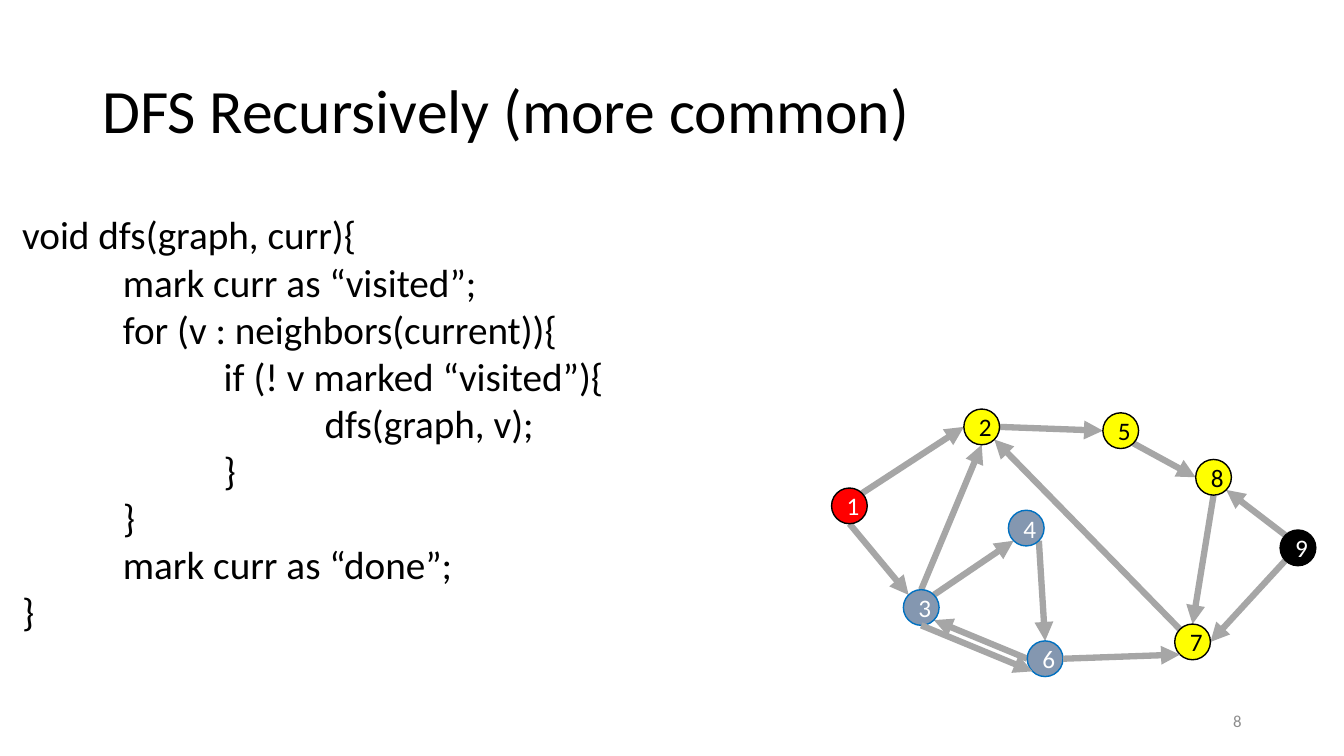
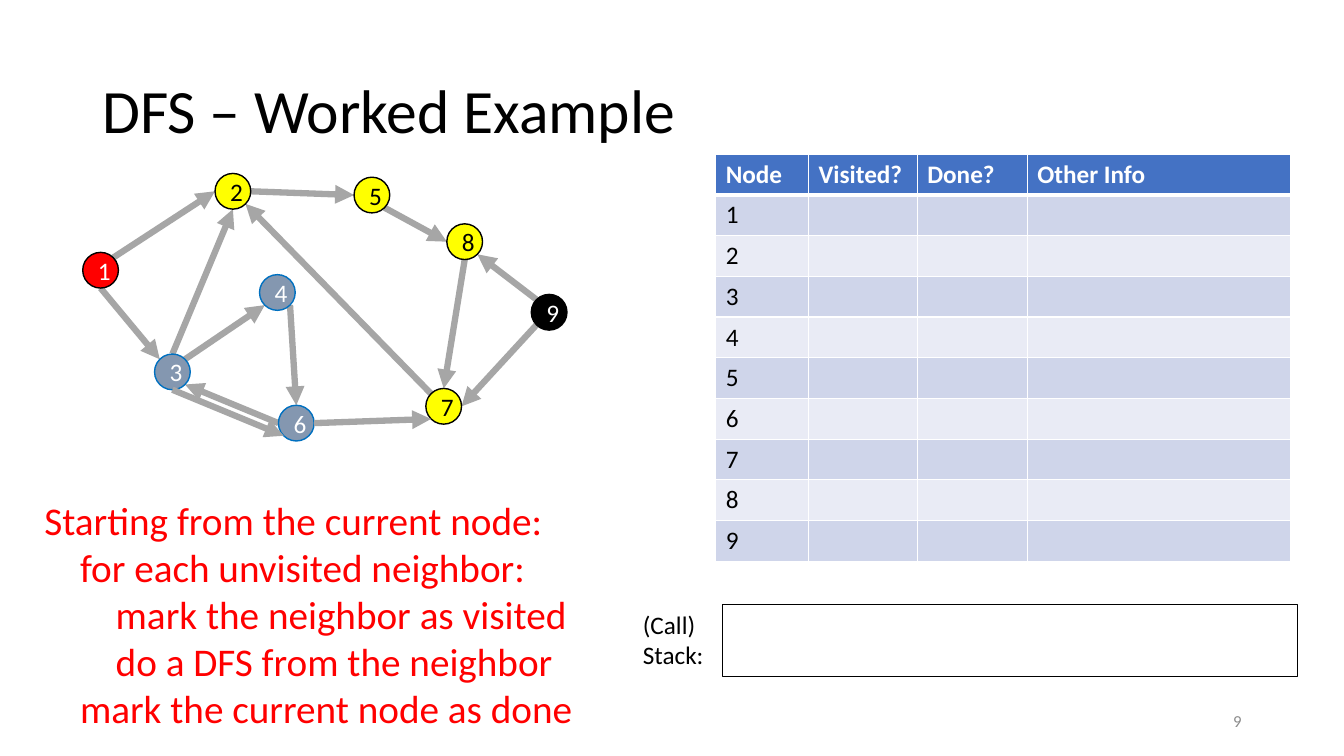
from dataclasses import dataclass
from enum import IntEnum
from math import cos, pi, sin
from typing import NamedTuple

from lxml import etree
from pptx import Presentation
from pptx.dml.color import RGBColor
from pptx.enum.shapes import MSO_CONNECTOR, MSO_SHAPE
from pptx.enum.text import MSO_ANCHOR, PP_ALIGN
from pptx.oxml.ns import qn
from pptx.util import Inches, Pt

STRAIGHT = MSO_CONNECTOR.STRAIGHT
OVAL, RECTANGLE = MSO_SHAPE.OVAL, MSO_SHAPE.RECTANGLE
TOP, MIDDLE = MSO_ANCHOR.TOP, MSO_ANCHOR.MIDDLE
LEFT, CENTER, RIGHT = PP_ALIGN.LEFT, PP_ALIGN.CENTER, PP_ALIGN.RIGHT

COLUMNS = 32
CELL = Inches(13.333) / COLUMNS
ROWS = 18


@dataclass(frozen=True)
class Theme:
    font: str = "Calibri"
    black: str = "000000"
    white: str = "FFFFFF"
    red: str = "FF0000"
    yellow: str = "FFFF00"
    slate: str = "8497B0"
    blue: str = "0070C0"
    edge: str = "A6A6A6"
    number: str = "8C8C8C"
    header: str = "4472C4"
    bands: tuple[str, str] = ("CFD5EA", "E9EBF5")
    title_size: int = 44
    body_size: int = 28
    label_size: int = 18
    number_size: int = 12


THEME = Theme()


class Box(NamedTuple):
    col: float
    row: float
    width: float
    height: float


class Line(NamedTuple):
    text: str
    level: int = 0


class Site(IntEnum):
    N = 0
    NW = 1
    W = 2
    SW = 3
    S = 4
    SE = 5
    E = 6
    NE = 7


@dataclass(frozen=True)
class Node:
    col: float
    row: float
    fill: str
    line: str = THEME.black
    color: str = THEME.white


class Edge(NamedTuple):
    start: int
    start_site: Site
    end: int
    end_site: Site


def yellow_node(col: float, row: float) -> Node:
    return Node(col, row, THEME.yellow, color=THEME.black)


def slate_node(col: float, row: float) -> Node:
    return Node(col, row, THEME.slate, THEME.blue)


NODE_SIZE = 0.85
NODES = {
    1: Node(0, 1.88, THEME.red),
    2: yellow_node(3.15, 0),
    3: slate_node(1.71, 4.3),
    4: slate_node(4.21, 2.41),
    5: yellow_node(6.46, 0.09),
    6: slate_node(4.66, 5.52),
    7: yellow_node(8.17, 5.12),
    8: yellow_node(8.67, 1.2),
    9: Node(10.68, 2.88, THEME.black),
}
EDGES_BEHIND = [
    Edge(1, Site.NE, 2, Site.W),
    Edge(2, Site.E, 5, Site.W),
    Edge(1, Site.S, 3, Site.NW),
    Edge(3, Site.NE, 4, Site.SW),
    Edge(6, Site.W, 3, Site.SE),
    Edge(4, Site.SE, 6, Site.N),
    Edge(7, Site.NW, 2, Site.SE),
    Edge(8, Site.S, 7, Site.N),
    Edge(5, Site.SE, 8, Site.W),
    Edge(9, Site.NW, 8, Site.SE),
    Edge(9, Site.SW, 7, Site.E),
    Edge(3, Site.N, 2, Site.S),
]
EDGES_IN_FRONT = [
    Edge(3, Site.S, 6, Site.SW),
    Edge(6, Site.E, 7, Site.SW),
]

CODE = [
    Line("void dfs(graph, curr){"),
    Line("mark curr as “visited”;", 1),
    Line("for (v : neighbors(current)){", 1),
    Line("if (! v marked “visited”){", 2),
    Line("dfs(graph, v);", 3),
    Line("}", 2),
    Line("}", 1),
    Line("mark curr as “done”;", 1),
    Line("}"),
]
STEPS = [
    Line("Starting from the current node:"),
    Line("for each unvisited neighbor:", 1),
    Line("mark the neighbor as visited", 2),
    Line("do a DFS from the neighbor", 2),
    Line("mark the current node as done", 1),
]
HEADERS = ["Node", "Visited?", "Done?", "Other Info"]
HEADER_WIDTHS = [2.21, 2.59, 2.62, 6.26]
TABLE_ROW = 0.975 // 0.01 / 100


def grid(cells: float) -> int:
    return round(cells * CELL)


def place(box: Box) -> list[int]:
    return [grid(v) for v in box]


def rgb(color: str) -> RGBColor:
    return RGBColor.from_string(color)


def style(p, size: int, color: str, bold: bool = False) -> None:
    for r in p.runs:
        r.font.name = THEME.font
        r.font.size = Pt(size)
        r.font.bold = bold
        r.font.color.rgb = rgb(color)


def add_text(s, box: Box, lines: list[Line], size: int, color: str = THEME.black,
             anchor=TOP, align=LEFT, spacing: float = 1, indent: float = 0) -> None:
    tf = s.shapes.add_textbox(*place(box)).text_frame
    tf.word_wrap = True
    tf.vertical_anchor = anchor
    for i, line in enumerate(lines):
        p = tf.add_paragraph() if i else tf.paragraphs[0]
        p.text = line.text
        p.alignment = align
        p.line_spacing = spacing
        if line.level:
            p._p.get_or_add_pPr().set("marL", str(grid(line.level * indent)))
        style(p, size, color)


def add_shape(s, kind, box: Box, fill: str, line: str):
    sp = s.shapes.add_shape(kind, *place(box))
    sp.shadow.inherit = False
    sp.fill.solid()
    sp.fill.fore_color.rgb = rgb(fill)
    sp.line.color.rgb = rgb(line)
    sp.line.width = Pt(1)
    return sp


def site_point(number: int, site: Site, left: float, top: float) -> tuple[int, int]:
    node, radius = NODES[number], NODE_SIZE / 2
    angle = pi / 2 + site * pi / 4
    return (grid(left + node.col + radius * (1 + cos(angle))),
            grid(top + node.row + radius * (1 - sin(angle))))


def add_edge(s, edge: Edge, left: float, top: float):
    cxn = s.shapes.add_connector(
        STRAIGHT,
        *site_point(edge.start, edge.start_site, left, top),
        *site_point(edge.end, edge.end_site, left, top))
    cxn.line.color.rgb = rgb(THEME.edge)
    cxn.line.width = Pt(4.5)
    etree.SubElement(cxn.get_or_add_ln(), qn("a:tailEnd"), type="triangle")
    etree.SubElement(cxn._element.spPr, qn("a:effectLst"))
    return cxn


def add_node(s, number: int, left: float, top: float):
    node = NODES[number]
    box = Box(left + node.col, top + node.row, NODE_SIZE, NODE_SIZE)
    sp = add_shape(s, OVAL, box, node.fill, node.line)
    tf = sp.text_frame
    tf.text = str(number)
    tf.vertical_anchor = MIDDLE
    p = tf.paragraphs[0]
    p.alignment = CENTER
    style(p, THEME.label_size, node.color)
    return sp


def add_graph(s, left: float, top: float) -> None:
    cxns = [add_edge(s, e, left, top) for e in EDGES_BEHIND]
    nodes = {number: add_node(s, number, left, top) for number in NODES}
    cxns += [add_edge(s, e, left, top) for e in EDGES_IN_FRONT]
    for cxn, edge in zip(cxns, EDGES_BEHIND + EDGES_IN_FRONT):
        joints = cxn._element.nvCxnSpPr.cNvCxnSpPr
        for tag, number, site in (("a:stCxn", edge.start, edge.start_site),
                                  ("a:endCxn", edge.end, edge.end_site)):
            etree.SubElement(joints, qn(tag), id=str(nodes[number].shape_id),
                             idx=str(int(site)))


def set_cell(cell, text: str, row: int) -> None:
    header = row == 0
    widths = {"L": 1, "R": 1, "T": 3 if row == 1 else 1, "B": 3 if header else 1}
    for side, width in widths.items():
        ln = etree.SubElement(cell._tc.get_or_add_tcPr(), qn(f"a:ln{side}"),
                              w=str(Pt(width)))
        fill = etree.SubElement(ln, qn("a:solidFill"))
        etree.SubElement(fill, qn("a:srgbClr"), val=THEME.white)
    cell.fill.solid()
    cell.fill.fore_color.rgb = rgb(THEME.header if header else THEME.bands[(row - 1) % 2])
    cell.text_frame.text = text
    style(cell.text_frame.paragraphs[0], THEME.label_size,
          THEME.white if header else THEME.black, header)


def add_node_table(s, left: float, top: float) -> None:
    rows = [HEADERS] + [[str(n), "", "", ""] for n in NODES]
    box = Box(left, top, sum(HEADER_WIDTHS), TABLE_ROW * len(rows))
    table = s.shapes.add_table(len(rows), len(HEADERS), *place(box)).table
    for column, width in zip(table.columns, HEADER_WIDTHS):
        column.width = grid(width)
    for i, values in enumerate(rows):
        table.rows[i].height = grid(TABLE_ROW)
        for j, text in enumerate(values):
            set_cell(table.cell(i, j), text, i)


def add_slide(prs, title: str, number: int):
    s = prs.slides.add_slide(prs.slide_layouts[6])
    add_text(s, Box(2.2, 0.96, 27.6, 3.48), [Line(title)], THEME.title_size,
             anchor=MIDDLE, spacing=0.9)
    add_text(s, Box(22.6, 16.69, 7.2, 0.96), [Line(str(number))], THEME.number_size,
             THEME.number, MIDDLE, RIGHT)
    return s


def main() -> None:
    prs = Presentation()
    prs.slide_width, prs.slide_height = grid(COLUMNS), grid(ROWS)

    s = add_slide(prs, "DFS Recursively (more common)", 8)
    add_text(s, Box(0.29, 4.9, 22.8, 10.42), CODE, THEME.body_size, indent=2.4)
    add_graph(s, 19.8, 9.74)

    s = add_slide(prs, "DFS – Worked Example", 9)
    add_text(s, Box(0.82, 11.69, 13.42, 5.9), STEPS, THEME.body_size, THEME.red, indent=0.85)
    add_node_table(s, 17.04, 3.67)
    add_shape(s, RECTANGLE, Box(17.2, 14.4, 13.7, 1.71), THEME.white, THEME.black)
    add_text(s, Box(15.07, 14.38, 1.94, 1.71), [Line("(Call)"), Line("Stack:")], THEME.label_size)
    add_graph(s, 1.97, 4.13)

    prs.save("out.pptx")


if __name__ == "__main__":
    main()
